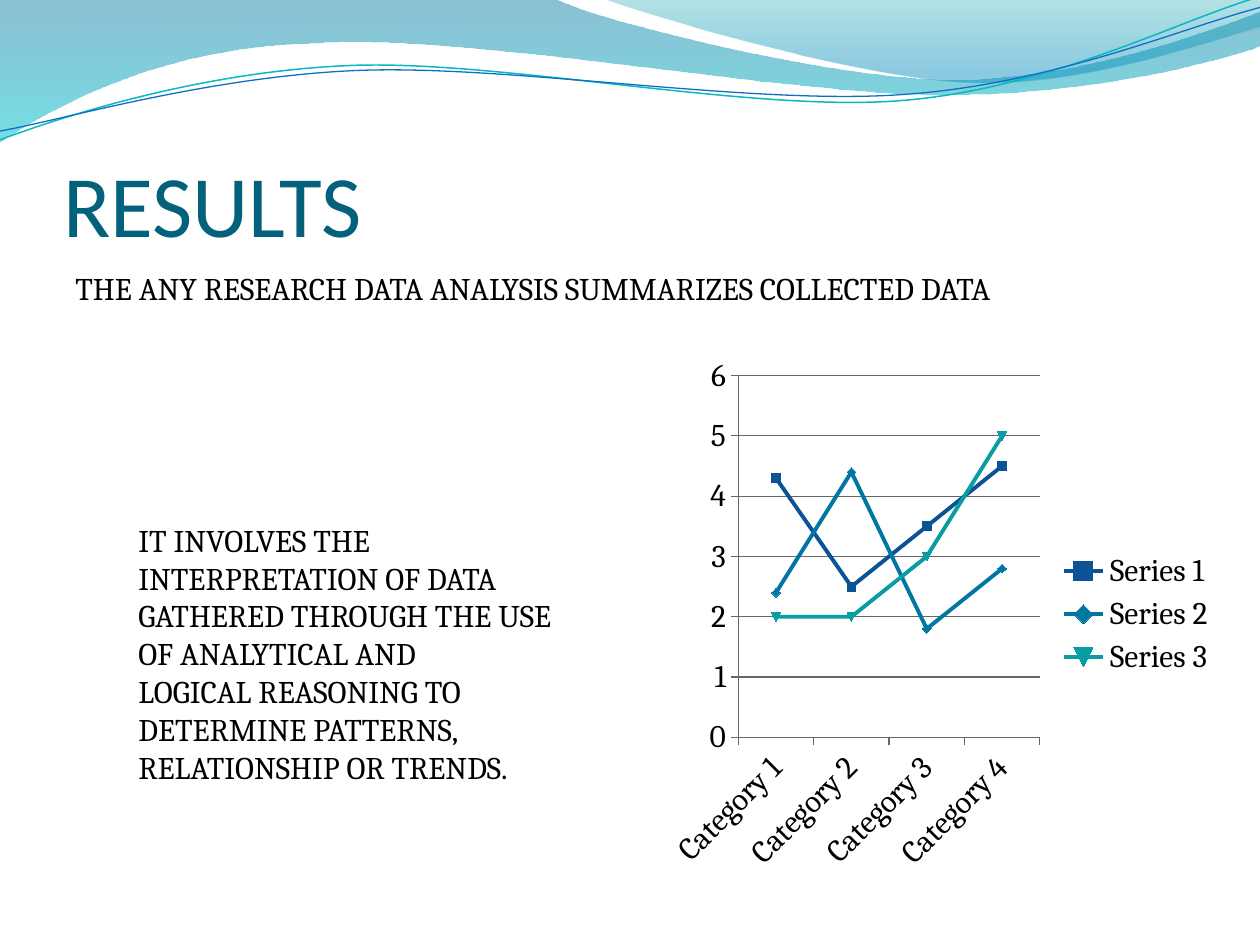
import math

import pptx
import pptx.chart.data
import pptx.dml.color
import pptx.enum.chart
import pptx.enum.text
import pptx.oxml
import pptx.oxml.ns
import pptx.util
from pptx.util import Inches

COLORS = {
    "title": "04617B", "text": "000000", "axis": "666666",
    "wave_top": "0074A1", "wave_bottom": "00C6CF",
    "crest_top": "00A1A9", "crest_bottom": "008BBF",
    "teal_line": "0AB8BF", "blue_line": "0F6FC6",
    "Series 1": "0B5394", "Series 2": "0076A3", "Series 3": "089CA3",
}

# Outlines in inches: a pair is a straight step, six numbers a Bezier curve
WAVES = [
    {"start": (0, 0),
     "steps": [(4.4, -0.01), (4.76, 0.17, 6.64, 0.63, 7.58, 0.63),
               (8.53, 0.63, 9.58, 0.26, 10, 0.09), (10.01, 0.36),
               (9.83, 0.44, 8.7, 0.76, 7.46, 0.75),
               (6.22, 0.75, 3.82, 0.28, 2.57, 0.34),
               (1.29, 0.36, 0.46, 0.83, -0.01, 1.13), (0, 0)],
     "stops": [("wave_top", 0, 45), ("wave_bottom", 1, 55)]},
    {"start": (4.79, -0.01),
     "steps": [(5.09, 0.11, 6.82, 0.62, 7.69, 0.65),
               (8.56, 0.69, 9.61, 0.32, 10, 0.21), (10, 0), (4.79, -0.01)],
     "stops": [("crest_top", 0, 30), ("crest_bottom", 0.8, 45)]},
    {"start": (0, 1.11),
     "steps": [(0.48, 0.93, 1.58, 0.57, 2.77, 0.52),
               (3.95, 0.47, 5.93, 0.89, 7.13, 0.8),
               (8.33, 0.71, 9.38, 0.15, 9.98, -0.02)],
     "line": ("teal_line", 0.85), "center": (4.99, 0.57)},
    {"start": (0, 1.04),
     "steps": [(0.47, 0.96, 1.64, 0.61, 2.83, 0.56),
               (4.03, 0.51, 5.97, 0.84, 7.17, 0.75),
               (8.36, 0.67, 9.41, 0.21, 10, 0.06)],
     "line": ("blue_line", 0.75), "center": (5, 0.59)},
]
TILT = -2.7  # degrees, for the two wave lines

TITLE = ["RESULTS"]
SUMMARY = ["THE ANY RESEARCH DATA ANALYSIS SUMMARIZES COLLECTED DATA"]
DETAILS = [
    "IT INVOLVES THE INTERPRETATION OF DATA",
    "GATHERED THROUGH THE USE OF ANALYTICAL AND",
    "LOGICAL REASONING TO DETERMINE PATTERNS,",
    "RELATIONSHIP OR TRENDS.",
]
CATEGORIES = ["Category 1", "Category 2", "Category 3", "Category 4"]
SERIES = {
    "Series 1": (4.3, 2.5, 3.5, 4.5),
    "Series 2": (2.4, 4.4, 1.8, 2.8),
    "Series 3": (2, 2, 3, 5),
}


def rgb(name):
    return pptx.dml.color.RGBColor.from_string(COLORS[name])


def rotate(point, center, degrees):
    angle = math.radians(degrees)
    dx, dy = point[0] - center[0], point[1] - center[1]
    return (center[0] + dx * math.cos(angle) - dy * math.sin(angle),
            center[1] + dx * math.sin(angle) + dy * math.cos(angle))


def add_outline(s, wave):
    """Draw all points as straight steps, then join triples into curves."""
    points = [wave["start"]]
    for step in wave["steps"]:
        points += zip(step[::2], step[1::2])
    if "center" in wave:
        points = [rotate(point, wave["center"], -TILT) for point in points]
    points = [(Inches(x), Inches(y)) for x, y in points]
    builder = s.shapes.build_freeform(*points[0])
    builder.add_line_segments(points[1:], close="stops" in wave)
    sp = builder.convert_to_shape()

    segments = iter(list(sp._element.iter(pptx.oxml.ns.qn("a:lnTo"))))
    for step in wave["steps"]:
        first = next(segments)
        if len(step) == 2:
            continue
        curve = pptx.oxml.parse_xml(f'<a:cubicBezTo {pptx.oxml.ns.nsdecls("a")}/>')
        first.addprevious(curve)
        for segment in (first, next(segments), next(segments)):
            curve.append(segment[0])
            segment.getparent().remove(segment)
    if "center" in wave:
        sp.rotation = TILT
    return sp


def add_wave(s, wave):
    sp = add_outline(s, wave)
    sp.shadow.inherit = False
    if "line" in wave:
        color, width = wave["line"]
        sp.fill.background()
        sp.line.color.rgb = rgb(color)
        sp.line.width = pptx.util.Pt(width)
        return
    sp.line.fill.background()
    sp.fill.gradient()
    sp.fill.gradient_angle = 270
    for stop, (color, position, _) in zip(sp.fill.gradient_stops, wave["stops"]):
        stop.color.rgb = rgb(color)
        stop.position = position
    # Opacity of each gradient stop
    clrs = sp._element.spPr.iter(pptx.oxml.ns.qn("a:srgbClr"))
    for clr, (_, _, opacity) in zip(clrs, wave["stops"]):
        clr.append(pptx.oxml.parse_xml(
            f'<a:alpha {pptx.oxml.ns.nsdecls("a")} val="{opacity * 1000}"/>'))


def add_text(s, lines, box, size=18, font="Cambria", color="text"):
    tf = s.shapes.add_textbox(*map(Inches, box)).text_frame
    tf.word_wrap = True
    tf.text = "\n".join(lines)
    for p in tf.paragraphs:
        p.font.size = pptx.util.Pt(size)
        p.font.name = font
        p.font.color.rgb = rgb(color)
    return tf


def add_results_chart(s, box):
    data = pptx.chart.data.CategoryChartData()
    data.categories = CATEGORIES
    for name, values in SERIES.items():
        data.add_series(name, values)
    chart = s.shapes.add_chart(
        pptx.enum.chart.XL_CHART_TYPE.LINE_MARKERS, *map(Inches, box), data).chart
    chart.has_title = False
    chart.font.size = pptx.util.Pt(18)
    chart.font.name = "Cambria"
    chart.font.color.rgb = rgb("text")
    chart.has_legend = True
    chart.legend.position = pptx.enum.chart.XL_LEGEND_POSITION.RIGHT
    chart.legend.include_in_layout = False

    plot = chart.plots[0]
    plot.vary_by_categories = False
    for series in plot.series:
        series.smooth = False
        series.format.line.color.rgb = rgb(series.name)
        series.format.line.width = pptx.util.Pt(2.25)
        fmt = series.marker.format
        fmt.fill.solid()
        fmt.fill.fore_color.rgb = rgb(series.name)
        fmt.line.color.rgb = rgb(series.name)

    chart.value_axis.has_major_gridlines = True
    chart.value_axis.major_gridlines.format.line.color.rgb = rgb("axis")
    for axis in (chart.category_axis, chart.value_axis):
        axis.major_tick_mark = pptx.enum.chart.XL_TICK_MARK.OUTSIDE
        axis.format.line.color.rgb = rgb("axis")


def main():
    prs = pptx.Presentation()
    prs.slide_width, prs.slide_height = Inches(10), Inches(7.5)
    s = prs.slides.add_slide(prs.slide_layouts[6])

    # Wave banner
    for wave in WAVES:
        add_wave(s, wave)

    # Title and text
    tf = add_text(s, TITLE, (0.5, 0.77, 9.08, 1.25), 50, "Calibri", "title")
    tf.vertical_anchor = pptx.enum.text.MSO_ANCHOR.BOTTOM
    tf.margin_left = tf.margin_right = tf.margin_bottom = 0
    for lines, box in ((SUMMARY, (0.5, 25 / 12, 7.92, 0.71)),
                       (DETAILS, (1, 49 / 12, 3.5, 2.22))):
        tf = add_text(s, lines, box)
        tf.auto_size = pptx.enum.text.MSO_AUTO_SIZE.SHAPE_TO_FIT_TEXT

    # Chart
    add_results_chart(s, (5.25, 2.75, 4.5, 4.25))
    prs.save("out.pptx")


if __name__ == "__main__":
    main()
